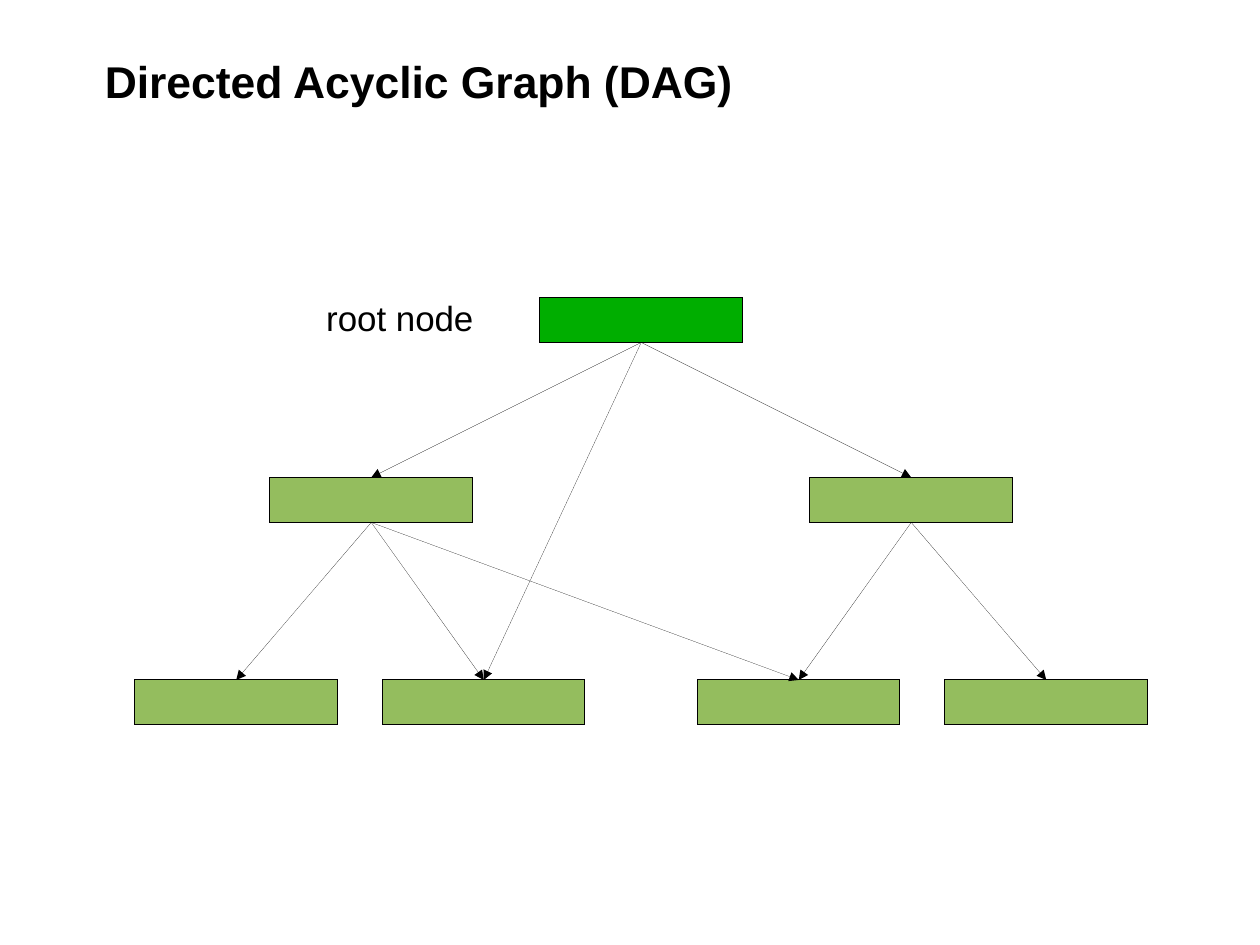
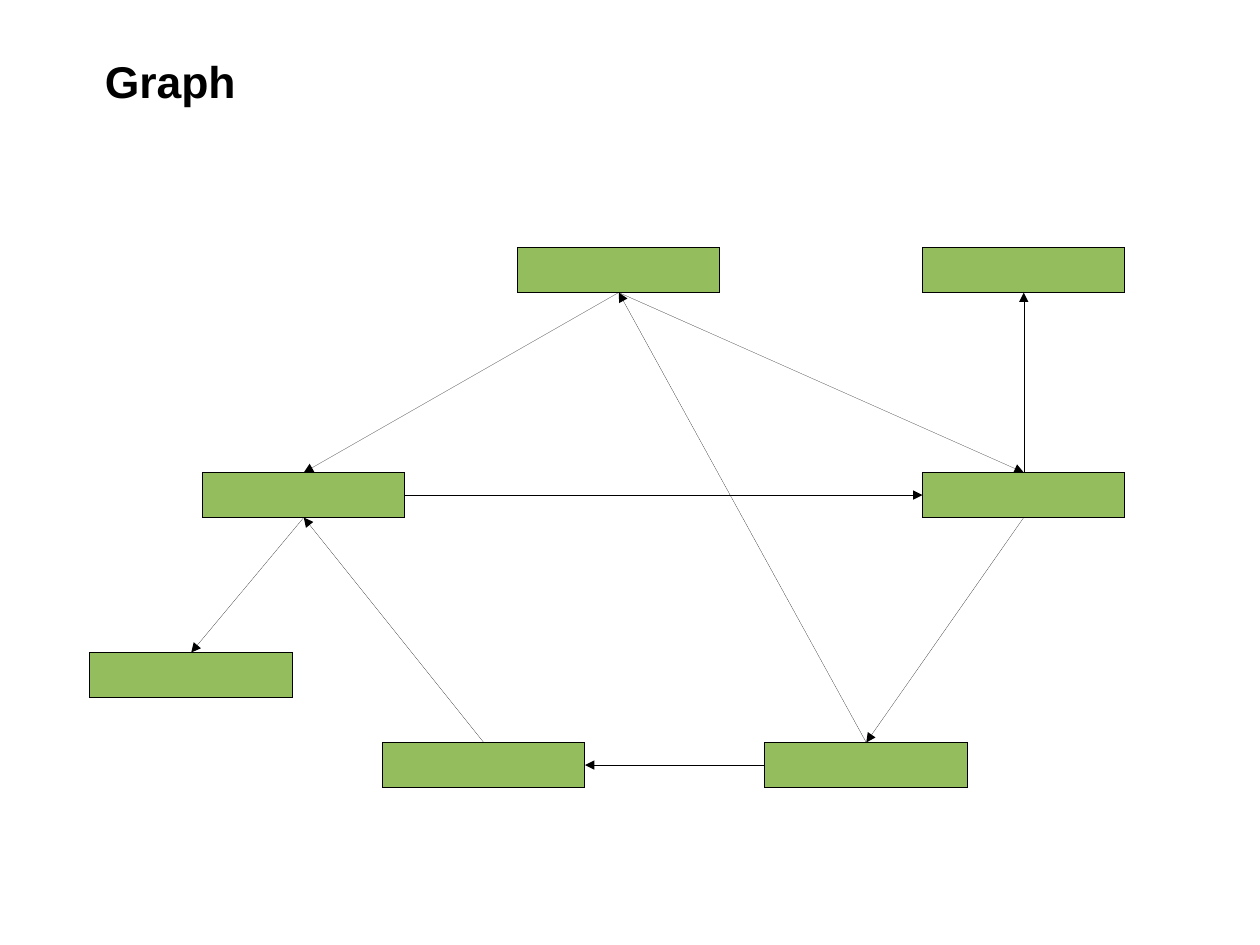
from dataclasses import dataclass

from lxml import etree
from pptx import Presentation
from pptx.dml.color import RGBColor
from pptx.enum.shapes import MSO_CONNECTOR, MSO_SHAPE
from pptx.enum.text import MSO_AUTO_SIZE
from pptx.oxml.ns import qn
from pptx.util import Cm, Pt

RECT = MSO_SHAPE.RECTANGLE
LINE = MSO_CONNECTOR.STRAIGHT
GROW = MSO_AUTO_SIZE.SHAPE_TO_FIT_TEXT
TOP, LEFT, BOTTOM, RIGHT = range(4)  # connection sites of a rectangle


@dataclass(frozen=True)
class Theme:
    font: str = "Arial"
    ink: RGBColor = RGBColor(0, 0, 0)
    root: RGBColor = RGBColor(0x00, 0xAE, 0x00)
    node: RGBColor = RGBColor(0x94, 0xBD, 0x5E)
    title: Pt = Pt(28)
    label: Pt = Pt(22)
    hair: Pt = Pt(0)


THEME = Theme()

# All lengths are in cells of a 1 cm grid.
COLS, ROWS = 28, 21
NODE = (4.5, 1)


def add_text(slide, text, box, size, bold=False):
    frame = slide.shapes.add_textbox(*map(Cm, box)).text_frame
    frame.word_wrap = True
    frame.auto_size = GROW
    run = frame.paragraphs[0].add_run()
    run.text = text
    font = run.font
    font.name, font.size, font.bold = THEME.font, size, bold
    font.color.rgb = THEME.ink


def add_title(slide, text, width):
    add_text(slide, text, (2.08, 1.07, width, 1.35), THEME.title, bold=True)


def set_line(line):
    """Colour a line and return its XML, with a zero width kept explicit."""
    line.color.rgb = THEME.ink
    props = line._get_or_add_ln()
    props.set("w", str(int(THEME.hair)))
    return props


def add_node(slide, col, row, fill=THEME.node):
    node = slide.shapes.add_shape(RECT, *map(Cm, (col, row, *NODE)))
    node.shadow.inherit = False
    node.fill.solid()
    node.fill.fore_color.rgb = fill
    set_line(node.line)
    return node


def add_row(slide, row, cols):
    return [add_node(slide, col, row) for col in cols]


def add_edge(slide, start, end, out=BOTTOM, into=TOP):
    """Glue an arrow from one node's side to another's."""
    edge = slide.shapes.add_connector(LINE, 0, 0, 0, 0)
    edge.begin_connect(start, out)
    edge.end_connect(end, into)
    props = set_line(edge.line)
    etree.SubElement(props, qn("a:tailEnd"), type="triangle")
    etree.SubElement(edge._element.spPr, qn("a:effectLst"))


def draw_dag(slide):
    add_title(slide, "Directed Acyclic Graph (DAG)", 14.6)
    add_text(slide, "root node", (7, 6.47, 4.06, 1.12), THEME.label)
    root = add_node(slide, 12, 6.61, THEME.root)
    west, east = add_row(slide, 10.61, (6, 18))
    leaves = add_row(slide, 15.11, (3, 8.5, 15.5, 21))
    tree = (
        (root, (west, east, leaves[1])),
        (west, leaves[:3]),
        (east, leaves[2:]),
    )
    for parent, kids in tree:
        for kid in kids:
            add_edge(slide, parent, kid)


def draw_graph(slide):
    add_title(slide, "Graph", 3.6)
    head, spur = add_row(slide, 5.5, (11.5, 20.5))
    west, east = add_row(slide, 10.5, (4.5, 20.5))
    leaf = add_node(slide, 2, 14.5)
    low_west, low_east = add_row(slide, 16.5, (8.5, 17))
    for start, end in ((head, west), (head, east),
                       (west, leaf), (east, low_east)):
        add_edge(slide, start, end)
    for start, end in ((low_west, west), (east, spur), (low_east, head)):
        add_edge(slide, start, end, TOP, BOTTOM)
    add_edge(slide, low_east, low_west, LEFT, RIGHT)
    add_edge(slide, west, east, RIGHT, LEFT)


def main():
    deck = Presentation()
    deck.slide_width, deck.slide_height = Cm(COLS), Cm(ROWS)
    blank = deck.slide_layouts[6]
    for draw in (draw_dag, draw_graph):
        draw(deck.slides.add_slide(blank))
    deck.save("out.pptx")


if __name__ == "__main__":
    main()
